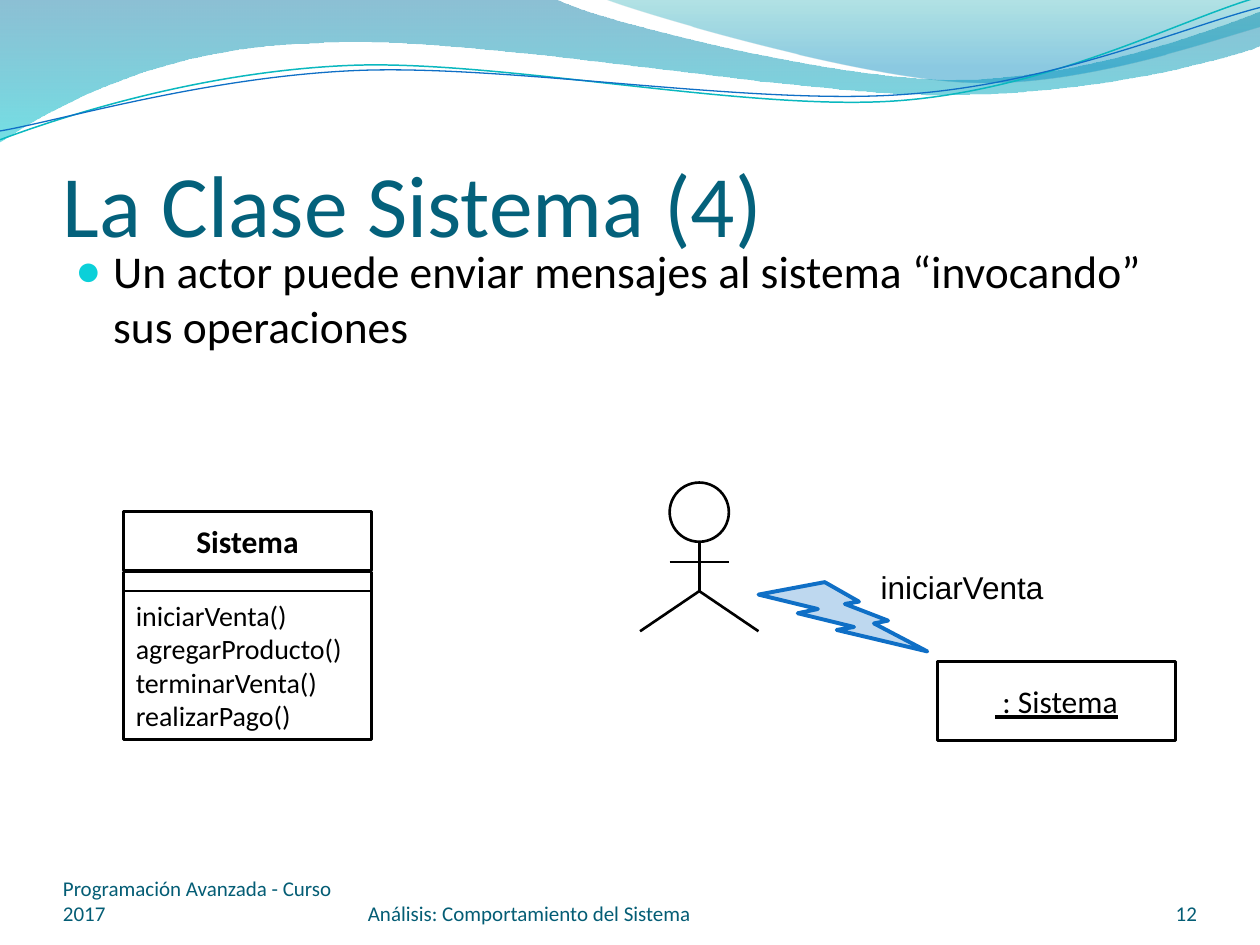
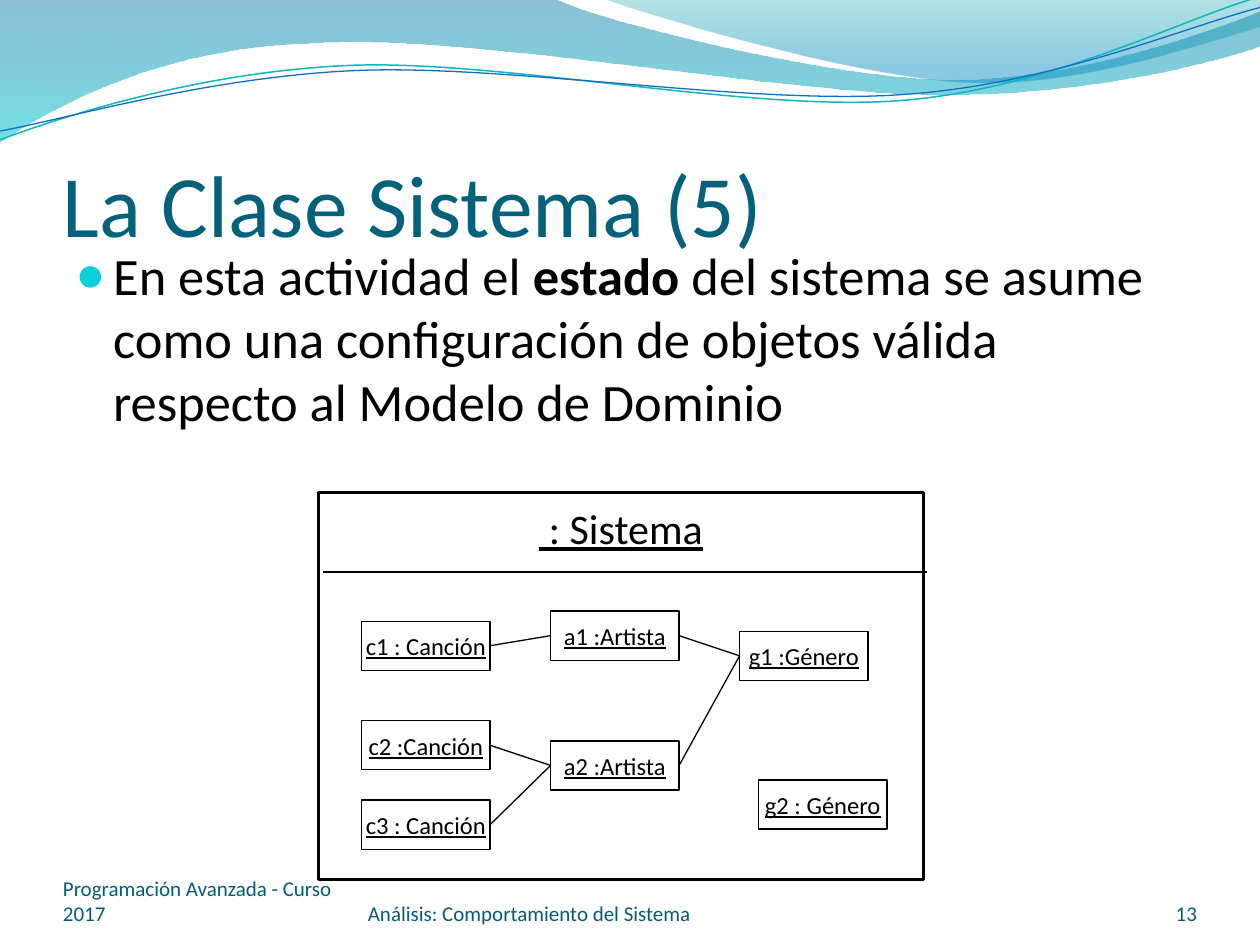
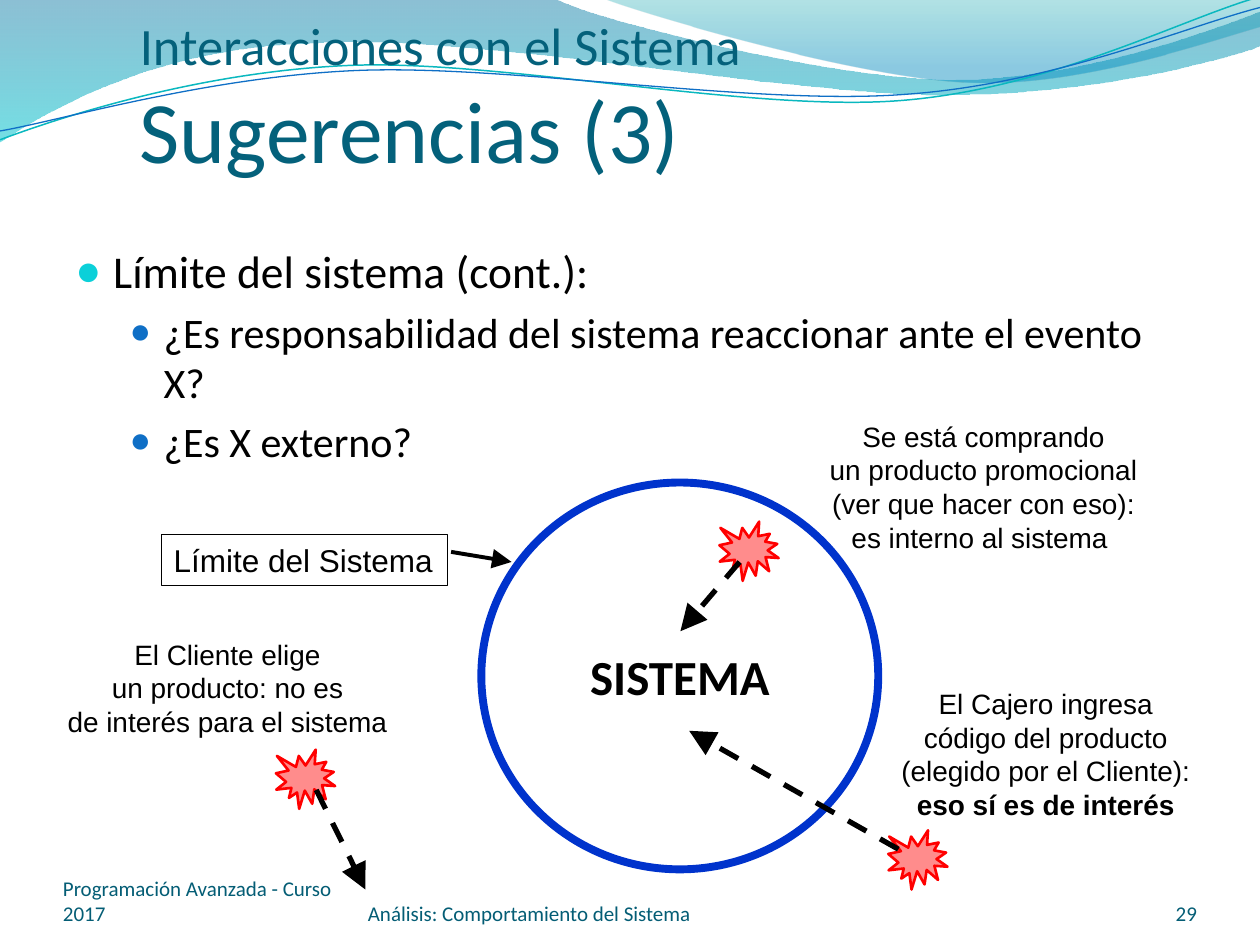
from math import cos, radians, sin

from lxml import etree
from pptx import Presentation
from pptx.dml.color import RGBColor
from pptx.enum.dml import MSO_LINE
from pptx.enum.shapes import MSO_CONNECTOR, MSO_SHAPE as SHAPE
from pptx.enum.text import MSO_ANCHOR as ANCHOR, PP_ALIGN as ALIGN
from pptx.oxml.ns import qn
from pptx.util import Inches, Pt

BLACK, WHITE, RED = "000000", "FFFFFF", "FF0000"
TITLE_COLOR, FOOTER_COLOR = "04617B", "045D75"
BLUE, TEAL, BOUNDARY_BLUE = "0F6FC6", "0AB8BF", "0033CC"
BULLET_LEVELS = [  # colour, size in percent, margin, hanging indent
    ("0BD0D9", 95, 0.3, 0.3),
    (BLUE, 85, 0.7, 0.27),
]
CURVE_TILT = 2.7  # degrees, counter-clockwise
CURVE_CENTER = (5, 0.58)
RECT_LEFT, RECT_RIGHT = 1, 3  # connection sites of a rectangle

# Wave outlines: a start point, then lines (1 point) and Bezier curves (3 points)
LARGE_WAVE = [
    [(0, 0)], [(4.4, -0.01)],
    [(4.76, 0.17), (6.64, 0.63), (7.58, 0.63)],
    [(8.53, 0.63), (9.58, 0.26), (10, 0.09)], [(10.01, 0.36)],
    [(9.83, 0.44), (8.7, 0.76), (7.46, 0.75)],
    [(6.22, 0.75), (3.82, 0.28), (2.57, 0.34)],
    [(1.29, 0.36), (0.46, 0.83), (-0.01, 1.13)], [(0, 0)]]
SMALL_WAVE = [
    [(4.79, -0.01)],
    [(5.09, 0.11), (6.82, 0.62), (7.69, 0.65)],
    [(8.56, 0.69), (9.61, 0.32), (10, 0.21)], [(10, 0)], [(4.79, -0.01)]]
TEAL_CURVE = [
    [(0, 1.11)],
    [(0.48, 0.93), (1.58, 0.57), (2.77, 0.52)],
    [(3.95, 0.47), (5.93, 0.89), (7.13, 0.8)],
    [(8.33, 0.71), (9.38, 0.15), (9.98, -0.02)]]
BLUE_CURVE = [
    [(0, 1.04)],
    [(0.47, 0.96), (1.64, 0.61), (2.83, 0.56)],
    [(4.03, 0.51), (5.97, 0.84), (7.17, 0.75)],
    [(8.36, 0.67), (9.41, 0.21), (10, 0.06)]]


def rgb(color):
    return RGBColor.from_string(color)


def set_opacity(shape, percents):
    """Apply opacities to the fill colours of a shape, in order."""
    fill = shape._element.spPr.xpath("./a:solidFill | ./a:gradFill")[0]
    for color, percent in zip(fill.iter(qn("a:srgbClr")), percents):
        etree.SubElement(color, qn("a:alpha"), val=str(percent * 1000))


def style_shape(shape, fill=None, line=None, weight=1.5, opacity=None):
    shape.shadow.inherit = False
    if fill:
        shape.fill.solid()
        shape.fill.fore_color.rgb = rgb(fill)
        if opacity:
            set_opacity(shape, [opacity])
    else:
        shape.fill.background()
    if line:
        shape.line.color.rgb = rgb(line)
        shape.line.width = Pt(weight)
    else:
        shape.line.fill.background()


def write(shape, lines, size, color=BLACK, font="Calibri", align=ALIGN.LEFT,
          anchor=ANCHOR.TOP, wrap=False, insets=(0.1, 0.05, 0.1, 0.05),
          bold=False, underline=False):
    """Fill a shape with one paragraph per line and return the paragraphs."""
    frame = shape.text_frame
    frame.word_wrap = wrap
    frame.vertical_anchor = anchor
    (frame.margin_left, frame.margin_top,
     frame.margin_right, frame.margin_bottom) = map(Inches, insets)
    frame.text = "\n".join(lines)
    for paragraph in frame.paragraphs:
        paragraph.alignment = align
        paragraph.font.name = font
        paragraph.font.size = Pt(size)
        paragraph.font.color.rgb = rgb(color)
        paragraph.font.bold = bold
        paragraph.font.underline = underline
    return frame.paragraphs


def add_text(slide, box, lines, size, **options):
    textbox = slide.shapes.add_textbox(*map(Inches, box))
    return write(textbox, lines, size, **options)


def add_preset(slide, preset, box, **style):
    shape = slide.shapes.add_shape(preset, *map(Inches, box))
    style_shape(shape, **style)
    return shape


def add_labelled(slide, box, lines, size, preset=SHAPE.RECTANGLE, fill=WHITE,
                 line=BLACK, weight=1.5, align=ALIGN.CENTER,
                 anchor=ANCHOR.MIDDLE, **options):
    shape = add_preset(slide, preset, box, fill=fill, line=line, weight=weight)
    write(shape, lines, size, align=align, anchor=anchor, **options)
    return shape


def add_line(slide, start, end, weight=1.5, dashed=False, arrow=False):
    connector = slide.shapes.add_connector(
        MSO_CONNECTOR.STRAIGHT, *map(Inches, (*start, *end)))
    connector.line.color.rgb = rgb(BLACK)
    connector.line.width = Pt(weight)
    if dashed:
        connector.line.dash_style = MSO_LINE.DASH
    if arrow:
        etree.SubElement(connector.line._get_or_add_ln(), qn("a:tailEnd"),
                         type="triangle", w="lg", len="lg")
    etree.SubElement(connector._element.spPr, qn("a:effectLst"))
    return connector


# ---- Parts shared by all slides ----

def turn(point, degrees):
    """Turn a point clockwise about the centre of the thin curves."""
    center_x, center_y = CURVE_CENTER
    x, y = point[0] - center_x, point[1] - center_y
    angle = radians(degrees)
    return (center_x + x * cos(angle) - y * sin(angle),
            center_y + x * sin(angle) + y * cos(angle))


def add_outline(slide, outline, close=False):
    """Build a freeform on the end points, then bend its curved segments."""
    segments = [[(Inches(x), Inches(y)) for x, y in segment] for segment in outline]
    ends = [segment[-1] for segment in segments]
    builder = slide.shapes.build_freeform(*ends[0])
    builder.add_line_segments(ends[1:], close=close)
    shape = builder.convert_to_shape()
    for line, segment in zip(list(shape._element.iter(qn("a:lnTo"))), segments[1:]):
        if len(segment) == 3:
            curve = etree.Element(qn("a:cubicBezTo"))
            for x, y in segment:
                etree.SubElement(curve, qn("a:pt"),
                                 x=str(x - shape.left), y=str(y - shape.top))
            line.getparent().replace(line, curve)
    return shape


def add_waves(slide):
    # Gradient bands: position, colour and opacity of each stop
    for outline, stops in (
            (LARGE_WAVE, [(0, "0074A1", 45), (1, "00C6CF", 55)]),
            (SMALL_WAVE, [(0, "00A1A9", 30), (0.8, "008BBF", 45)])):
        band = add_outline(slide, outline, close=True)
        style_shape(band)
        band.fill.gradient()
        band.fill.gradient_angle = 270
        for stop, (position, color, _) in zip(band.fill.gradient_stops, stops):
            stop.position = position
            stop.color.rgb = rgb(color)
        set_opacity(band, [opacity for _, _, opacity in stops])
    # Thin curves, laid level and then tilted
    for outline, color, weight in ((TEAL_CURVE, TEAL, 0.85), (BLUE_CURVE, BLUE, 0.75)):
        level = [[turn(point, CURVE_TILT) for point in segment] for segment in outline]
        curve = add_outline(slide, level)
        curve.rotation = -CURVE_TILT
        style_shape(curve, line=color, weight=weight)


def add_title(slide, title, box=(0.5, 0.77, 9, 1.25), overline=None):
    paragraph = add_text(slide, box, [title], 50, color=TITLE_COLOR, wrap=True,
                         anchor=ANCHOR.BOTTOM, insets=(0, 0.05, 0, 0))[0]
    if overline:
        paragraph.clear()
        small_run = paragraph.add_run()
        small_run.text = overline
        small_run.font.size = Pt(30)
        paragraph.add_line_break()
        paragraph.add_run().text = title


def add_footer(slide, number):
    for left, width, text, align in (
            (0.5, 2.33, "Programación Avanzada - Curso 2017", ALIGN.LEFT),
            (2.92, 3.67, "Análisis: Comportamiento del Sistema", ALIGN.LEFT),
            (8.67, 0.83, str(number), ALIGN.RIGHT)):
        add_text(slide, (left, 6.95, width, 0.4), [text], 12, color=FOOTER_COLOR,
                 align=align, anchor=ANCHOR.BOTTOM, wrap=True, insets=(0, 0, 0, 0))


def add_bullets(slide, items, height=5.18):
    """Items are (level, size, text); text between asterisks is bold."""
    paragraphs = add_text(slide, (0.5, 1.88, 9, height), [text for _, _, text in items],
                          26, wrap=True)
    for paragraph, (level, size, text) in zip(paragraphs, items):
        color, percent, margin, hanging = BULLET_LEVELS[level]
        paragraph.level = level
        paragraph.font.size = Pt(size)
        paragraph.space_before = Pt(0.2 * size)
        paragraph.clear()
        for index, part in enumerate(text.split("*")):
            run = paragraph.add_run()
            run.text = part
            if index % 2:
                run.font.bold = True
        properties = paragraph._p.get_or_add_pPr()
        properties.set("marL", str(Inches(margin)))
        properties.set("indent", str(-Inches(hanging)))
        bullet_color = etree.Element(qn("a:buClr"))
        etree.SubElement(bullet_color, qn("a:srgbClr"), val=color)
        bullet = [bullet_color,
                  etree.Element(qn("a:buSzPct"), val=str(percent * 1000)),
                  etree.Element(qn("a:buFont"), typeface="Arial"),
                  etree.Element(qn("a:buChar"), char="●")]
        for element in bullet:
            properties.find(qn("a:defRPr")).addprevious(element)


def new_slide():
    slide = presentation.slides.add_slide(presentation.slide_layouts[6])
    add_waves(slide)
    return slide


# ---- Diagram parts ----

def add_class_box(slide, left, top, width, name, operations):
    add_labelled(slide, (left, top, width, 0.47), [name], 18, bold=True)
    add_preset(slide, SHAPE.RECTANGLE, (left, top + 0.48, width, 0.16),
               fill=WHITE, line=BLACK)
    add_labelled(slide, (left, top + 0.63, width, 1.18), operations, 16, align=ALIGN.LEFT)


def add_actor(slide, left, top, width, height):
    head = width / 2
    middle, hip = left + width / 2, top + 0.73 * height
    add_preset(slide, SHAPE.OVAL, (middle - head / 2, top, head, head),
               fill=WHITE, line=BLACK)
    add_line(slide, (middle, top + head), (middle, hip))
    for foot in (left, left + width):
        add_line(slide, (middle, hip), (foot, top + height))
    arms = top + head + 0.16
    add_line(slide, (middle - head / 2, arms), (middle + head / 2, arms))


def add_message(slide, left, top):
    """A lightning bolt with its message, ending at the receiving object."""
    add_labelled(slide, (left + 1.42, top + 0.79, 1.89, 0.63), [" : Sistema"], 18,
                 underline=True)
    add_preset(slide, SHAPE.LIGHTNING_BOLT, (left, top + 0.16, 1.34, 0.55),
               fill=BLUE, opacity=27, line=BLUE, weight=2.25)
    add_text(slide, (left + 0.87, top, 1.51, 0.4), ["iniciarVenta"], 18, font="Arial")


def add_object_diagram(slide, left, top, width, height):
    add_labelled(slide, (left, top, width, height), [" : Sistema"], 24, underline=True,
                 anchor=ANCHOR.TOP, insets=(0.1, 0.08, 0.1, 0.05))
    add_line(slide, (left + 0.03, top + 0.63), (left + width + 0.03, top + 0.63))
    # Objects, by offset inside the system
    songs, artists, genres = 0.34, 1.84, 3.34
    objects = {
        label.split()[0]: add_labelled(slide, (left + x, top + y, 1.02, 0.39), [label],
                                       14, weight=0.75, underline=True)
        for label, x, y in (
            ("c1 : Canción", songs, 1.02), ("c2 :Canción", songs, 1.81),
            ("c3 : Canción", songs, 2.44), ("a1 :Artista", artists, 0.94),
            ("a2 :Artista", artists, 1.97), ("g1 :Género", genres, 1.1),
            ("g2 : Género", genres + 0.15, 2.28))}
    # Links
    for source, target in (("c1", "a1"), ("c2", "a2"), ("c3", "a2"),
                           ("a1", "g1"), ("a2", "g1")):
        link = add_line(slide, (left, top), (left, top), weight=0.75)
        link.begin_connect(objects[source], RECT_RIGHT)
        link.end_connect(objects[target], RECT_LEFT)


def add_event(slide, left, top, arrow_start, arrow_end, note_box, note):
    """A burst, the dashed arrow leaving it and its explanation."""
    add_preset(slide, SHAPE.EXPLOSION1, (left, top, 0.47, 0.47),
               fill=RED, opacity=45, line=RED)
    add_line(slide, arrow_start, arrow_end, weight=3, dashed=True, arrow=True)
    return add_text(slide, note_box, note, 16, font="Arial", align=ALIGN.CENTER)


def add_boundary_diagram(slide, left, top, width, height):
    add_labelled(slide, (left, top, width, height), ["SISTEMA"], 28, preset=SHAPE.OVAL,
                 fill=None, line=BOUNDARY_BLUE, weight=4.5, bold=True)

    def at(x, y, *size):
        return (left + x, top + y, *size)

    # Events outside, crossing and inside the boundary
    add_event(slide, *at(-1.63, 2.12), at(-1.31, 2.44), at(-0.92, 3.23),
              at(-3.39, 1.18, 2.75, 0.9),
              ["El Cliente elige", "un producto: no es", "de interés para el sistema"])
    crossing = add_event(slide, *at(3.23, 2.76), at(3.31, 2.91), at(1.65, 1.97),
                         at(3.23, 1.57, 2.5, 1.17),
                         ["El Cajero ingresa", "código del producto",
                          "(elegido por el Cliente):", "eso sí es de interés"])
    crossing[-1].font.bold = True
    add_event(slide, *at(1.89, 0.31), at(2.05, 0.63), at(1.58, 1.18),
              at(2.66, -0.55, 2.65, 1.17),
              ["Se está comprando", "un producto promocional",
               "(ver que hacer con eso):", "es interno al sistema "])
    # Label of the boundary
    add_labelled(slide, at(-2.54, 0.41, 2.27, 0.41), ["Límite del Sistema"], 18,
                 fill=None, weight=0.75, font="Arial", align=ALIGN.LEFT)
    add_line(slide, at(-0.24, 0.55), at(0.24, 0.63), weight=2.25, arrow=True)


# ---- Slides ----

def build_messages_slide():
    slide = new_slide()
    add_title(slide, "La Clase Sistema (4)")
    add_bullets(slide, [
        (0, 26, "Un actor puede enviar mensajes al sistema “invocando” sus operaciones")])
    add_class_box(slide, 0.98, 4.06, 1.97, "Sistema",
                  ["iniciarVenta()", "agregarProducto()", "terminarVenta()",
                   "realizarPago()"])
    add_message(slide, 6.02, 4.46)
    add_actor(slide, 5.08, 3.83, 0.94, 1.18)
    add_footer(slide, 12)


def build_state_slide():
    slide = new_slide()
    add_title(slide, "La Clase Sistema (5)")
    add_bullets(slide, [
        (0, 30, "En esta actividad el *estado* del sistema se asume como una "
                "configuración de objetos válida respecto al Modelo de Dominio")])
    add_object_diagram(slide, 2.53, 3.91, 4.8, 3.07)
    add_footer(slide, 13)


def build_boundary_slide():
    slide = new_slide()
    add_title(slide, "Sugerencias (3)", box=(1.11, 0, 7.83, 1.44),
              overline="Interacciones con el Sistema ")
    add_bullets(slide, [
        (0, 26, "Límite del sistema (cont.):"),
        (1, 24, "¿Es responsabilidad del sistema reaccionar ante el evento X?"),
        (1, 24, "¿Es X externo?")], height=5.02)
    add_boundary_diagram(slide, 3.82, 3.83, 3.15, 3.07)
    add_footer(slide, 29)


presentation = Presentation()
presentation.slide_width, presentation.slide_height = Inches(10), Inches(7.5)
build_messages_slide()
build_state_slide()
build_boundary_slide()
presentation.save("out.pptx")
